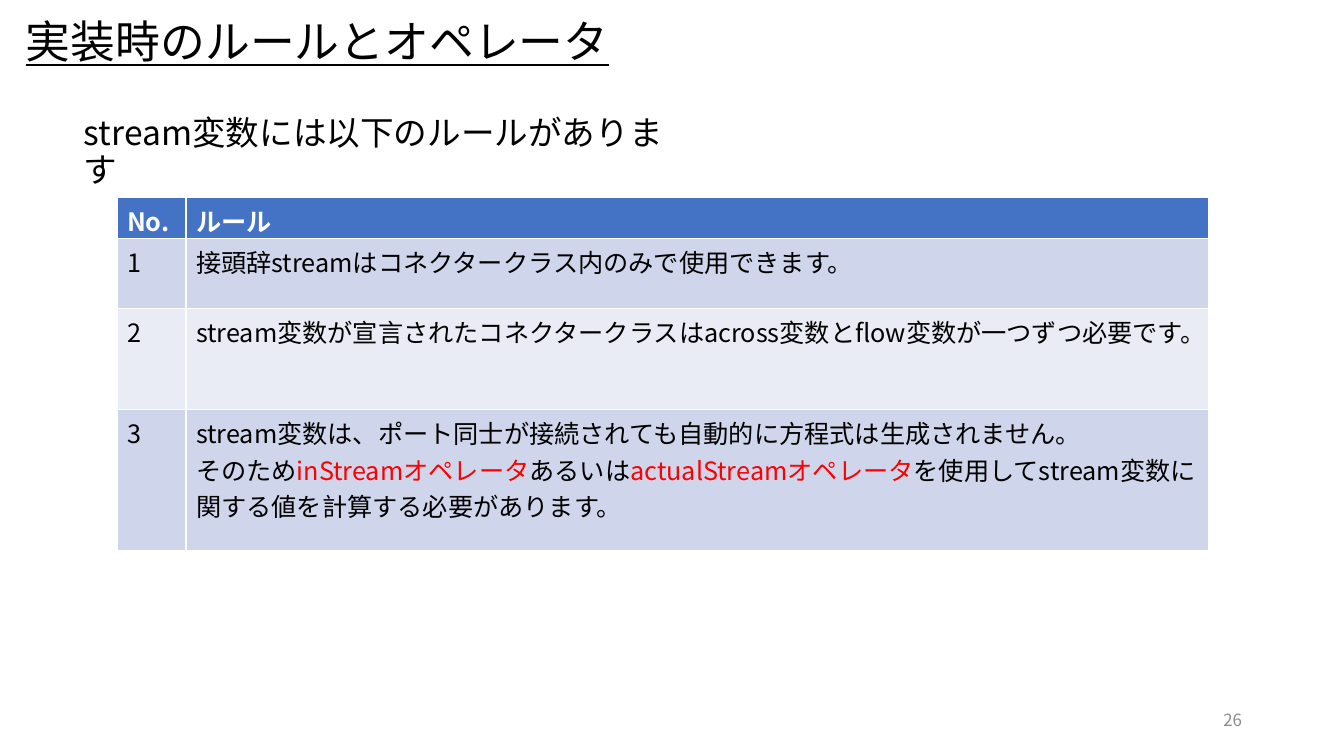
from lxml.etree import SubElement
from pptx import Presentation
from pptx.dml.color import RGBColor
from pptx.enum.text import MSO_ANCHOR, MSO_AUTO_SIZE, PP_ALIGN
from pptx.oxml.ns import qn
from pptx.util import Pt

PX = 914400 / 100.8
FONT = "Noto Sans CJK JP"
COLORS = {
    "text": "000000",
    "accent": "FF0000",
    "muted": "8C8C8C",
    "white": "FFFFFF",
    "header": "4472C4",
    "odd": "CFD5EA",
    "even": "E9EBF5",
}
HEADINGS = ["No.", "ルール"]
RULES = [
    [[("接頭辞streamはコネクタークラス内のみで使用できます。", "text")]],
    [[("stream変数が宣言されたコネクタークラスはacross変数とflow変数が一つずつ必要です。", "text")]],
    [
        [("stream変数は、ポート同士が接続されても自動的に方程式は生成されません。", "text")],
        [
            ("そのため", "text"),
            ("inStreamオペレータ", "accent"),
            ("あるいは", "text"),
            ("actualStreamオペレータ", "accent"),
            ("を使用してstream変数に関する値を計算する必要があります。", "text"),
        ],
    ],
]


def px(length):
    """Turn whole pixels into EMU."""
    return round(length * PX)


def rgb(name):
    """Look up a named colour."""
    return RGBColor.from_string(COLORS[name])


def add_run(paragraph, words, size, color, bold=False, underline=False):
    """Append one styled run to a paragraph."""
    run = paragraph.add_run()
    run.text = words
    font = run.font
    font.name, font.size, font.bold = FONT, Pt(size), bold
    font.underline = underline
    font.color.rgb = rgb(color)
    SubElement(font._element, qn("a:ea"), typeface=FONT)


def add_label(slide, box, words, size, color="text", align=PP_ALIGN.LEFT,
              anchor=MSO_ANCHOR.TOP, inset=None, wrap=True, underline=False):
    """Place a single paragraph in the given box."""
    frame = slide.shapes.add_textbox(*map(px, box)).text_frame
    frame.word_wrap = wrap
    frame.auto_size = MSO_AUTO_SIZE.NONE
    frame.vertical_anchor = anchor
    if inset is not None:
        frame.margin_left = frame.margin_right = px(inset)
        frame.margin_top = frame.margin_bottom = px(inset)
    paragraph = frame.paragraphs[0]
    paragraph.alignment = align
    paragraph.line_spacing = 0.9
    add_run(paragraph, words, size, color, underline=underline)


def fill_cell(cell, paragraphs, fill, bold=False):
    """Colour a table cell and write its paragraphs."""
    cell.fill.solid()
    cell.fill.fore_color.rgb = rgb(fill)
    frame = cell.text_frame
    for index, runs in enumerate(paragraphs):
        paragraph = frame.add_paragraph() if index else frame.paragraphs[0]
        for words, color in runs:
            add_run(paragraph, words, 18, color, bold)


def add_rules(slide, box, number_width, row_heights):
    """Place the table of numbered rules in the given box."""
    table = slide.shapes.add_table(len(RULES) + 1, 2, *map(px, box)).table
    table.columns[0].width = px(number_width)
    table.columns[1].width = px(box[2] - number_width)
    for row, height in zip(table.rows, row_heights):
        row.height = px(height)
    for column, heading in enumerate(HEADINGS):
        cell = table.cell(0, column)
        cell.margin_bottom = 0
        fill_cell(cell, [[(heading, "white")]], "header", bold=True)
    for number, rule in enumerate(RULES, 1):
        band = "odd" if number % 2 else "even"
        fill_cell(table.cell(number, 0), [[(str(number), "text")]], band)
        fill_cell(table.cell(number, 1), rule, band)


def build_rules_slide(deck):
    """Build the slide on the rules for stream variables."""
    slide = deck.slides.add_slide(deck.slide_layouts[6])
    add_label(slide, (950, 701, 302, 40), "26", 12, "muted",
              align=PP_ALIGN.RIGHT, anchor=MSO_ANCHOR.MIDDLE)
    add_label(slide, (20, 9, 600, 70), "実装時のルールとオペレータ", 32,
              anchor=MSO_ANCHOR.MIDDLE, inset=6, wrap=False, underline=True)
    add_label(slide, (74, 112, 606, 90), "stream変数には以下のルールがあります", 24)
    add_rules(slide, (117, 197, 1092, 352), 69, (40, 70, 101, 141))


def main():
    """Create the deck and save it."""
    deck = Presentation()
    deck.slide_width, deck.slide_height = px(1344), px(756)
    build_rules_slide(deck)
    deck.save("out.pptx")


if __name__ == "__main__":
    main()
